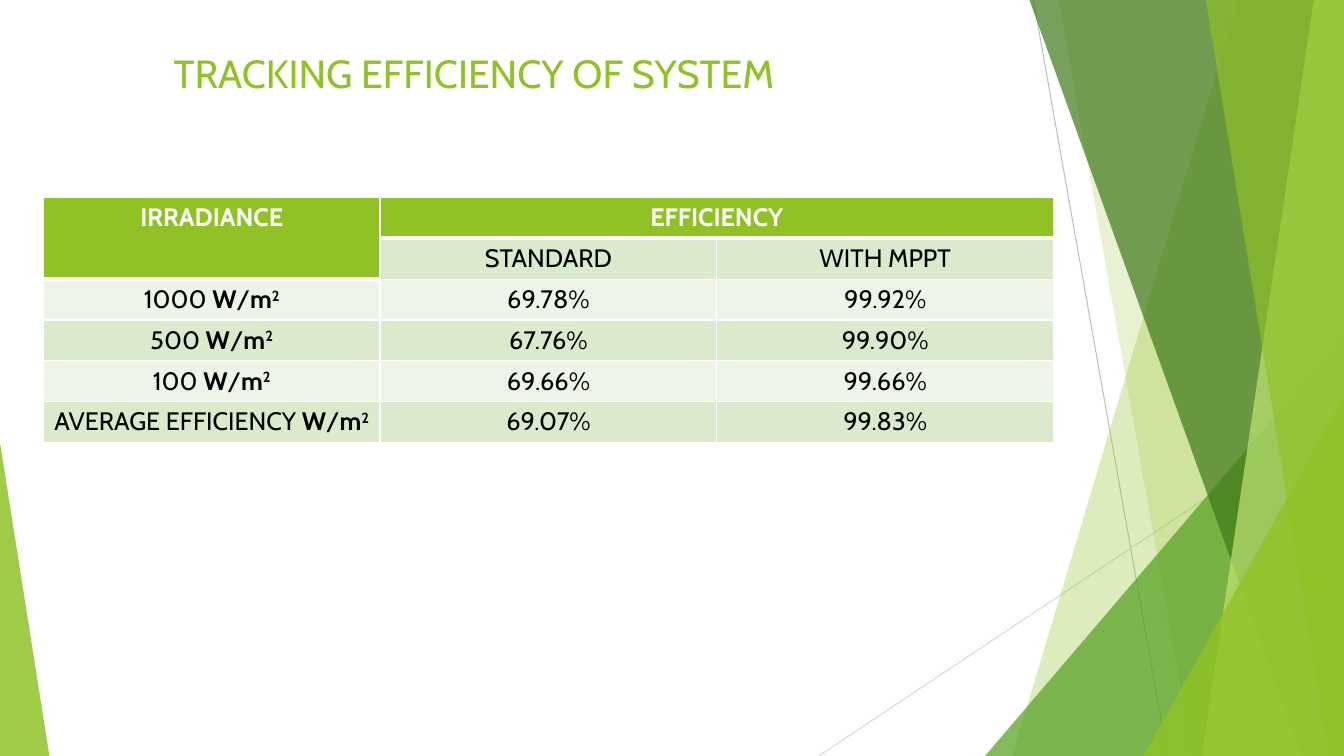
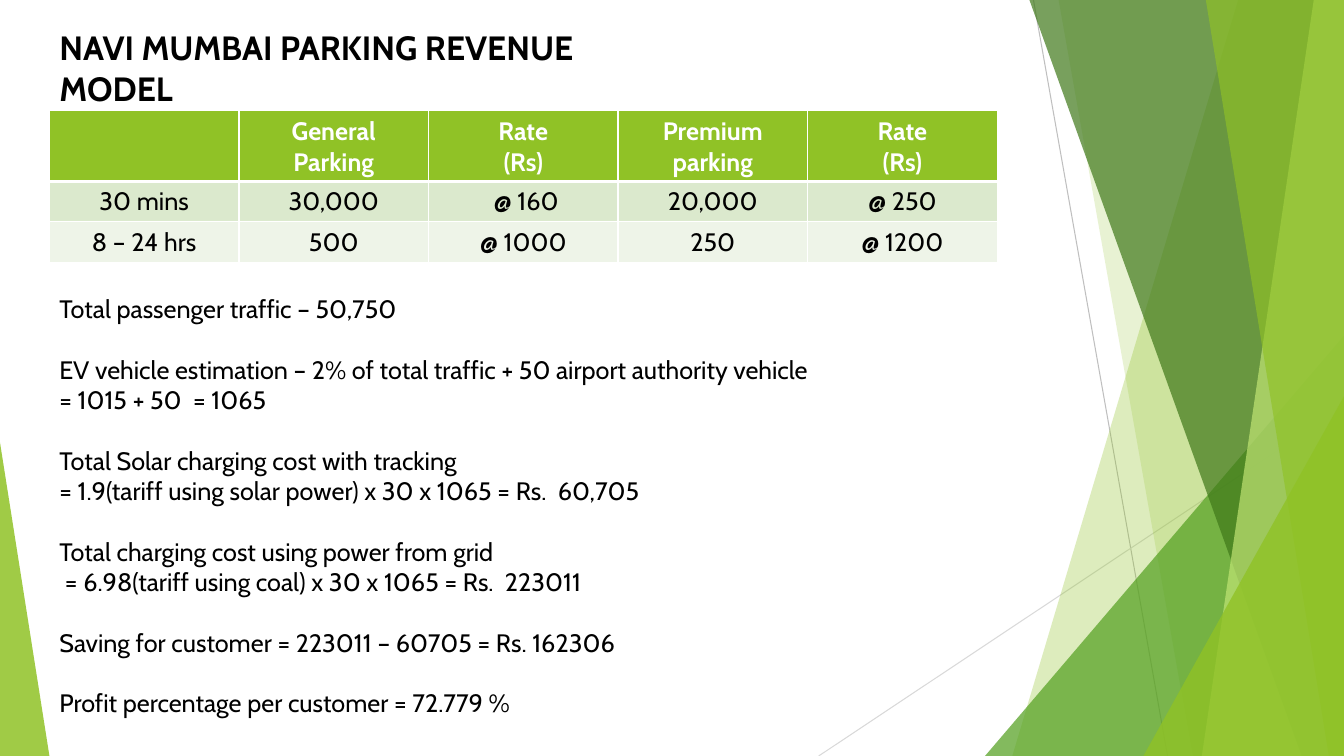
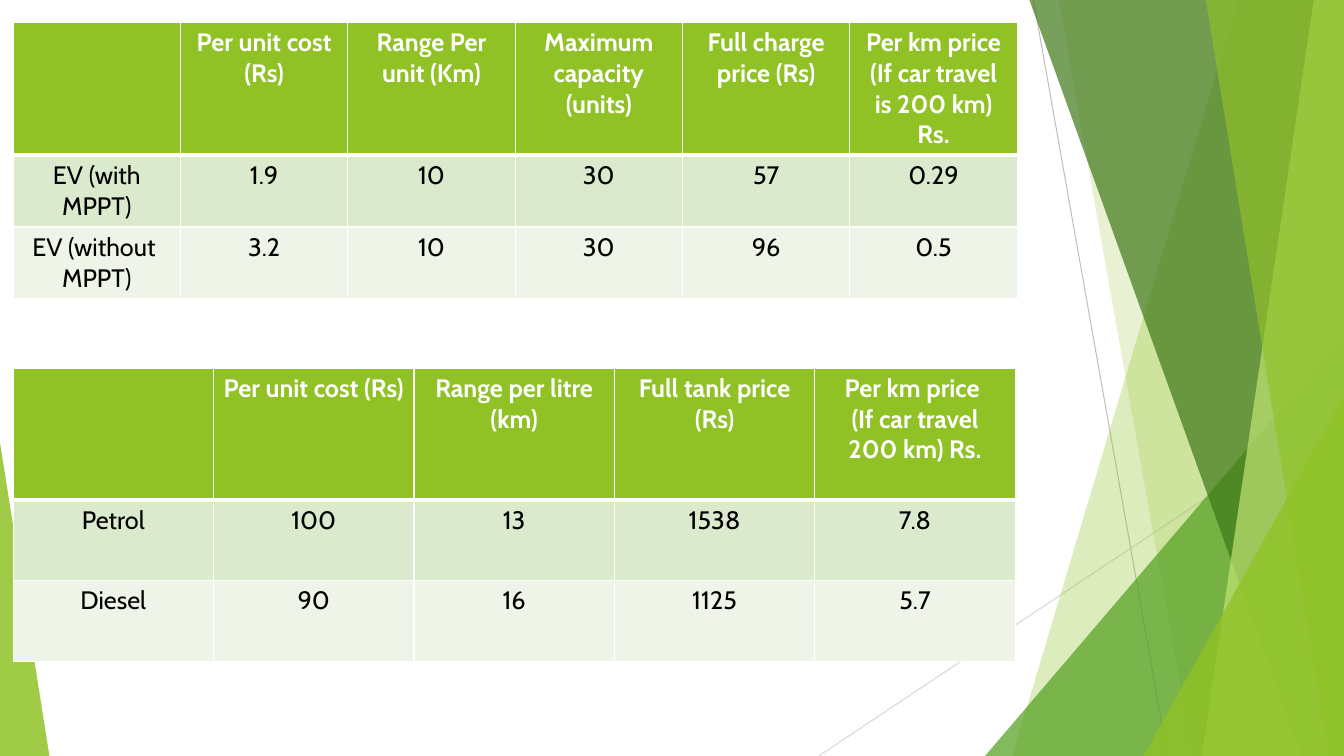
from dataclasses import dataclass

from lxml import etree
from pptx import Presentation
from pptx import util as u
from pptx.dml.color import RGBColor
from pptx.enum import shapes, text
from pptx.oxml.ns import qn

WIDTH, HEIGHT = 13.33, 7.5


@dataclass(frozen=True)
class Theme:
    font: str = "Cabin"
    green: str = "90C226"
    leaf: str = "54A021"
    forest: str = "3F7819"
    lime: str = "C0E474"
    band_dark: str = "DBE9CD"
    band_light: str = "EEF4E8"
    black: str = "000000"
    white: str = "FFFFFF"
    steep_line: str = "BFBFBF"
    flat_line: str = "D9D9D9"
    hairline: float = 0.75
    border: float = 1
    header_border: float = 3
    title: float = 28
    heading: float = 24
    body: float = 18
    group_gap: float = 21.8


THEME = Theme()


@dataclass(frozen=True)
class Piece:
    """A stretch of cell text with its own weight or raised position."""
    words: str
    bold: bool = False
    raised: bool = False


UNIT = [Piece("W", bold=True), Piece("/"), Piece("m", bold=True),
        Piece("2", bold=True, raised=True)]


def color(value):
    return RGBColor.from_string(value)


def set_border(cell, side, width):
    line = etree.SubElement(cell._tc.get_or_add_tcPr(), qn(f"a:ln{side}"),
                            w=str(u.Pt(width)))
    fill = etree.SubElement(line, qn("a:solidFill"))
    etree.SubElement(fill, qn("a:srgbClr"), val=THEME.white)


class Deck:
    def __init__(self):
        self.presentation = Presentation()
        self.presentation.slide_width = u.Inches(WIDTH)
        self.presentation.slide_height = u.Inches(HEIGHT)
        self.slide = None

    def new_slide(self):
        self.slide = self.presentation.slides.add_slide(
            self.presentation.slide_layouts[6])
        self.backdrop()

    def backdrop(self):
        self.line((10.25, 0), (11.58, HEIGHT), THEME.steep_line)
        self.line((WIDTH, 4.03), (8.12, HEIGHT), THEME.flat_line)
        self.panel(12.28, 10.04, THEME.green, 30)
        self.panel(10.5, 11.83, THEME.green, 20)
        self.triangle(9.77, 3.33, 3.56, THEME.leaf, 72)
        self.panel(10.21, 12.91, THEME.forest, 70)
        self.panel(13.03, 11.92, THEME.lime, 70)
        self.panel(11.96, 13.18, THEME.green, 65)
        self.triangle(11.34, 3.93, 1.99, THEME.green, 80)
        self.triangle(0, 4.39, 0.49, THEME.green, 85, apex=0)

    def line(self, start, end, line_color):
        connector = self.slide.shapes.add_connector(
            shapes.MSO_CONNECTOR.STRAIGHT, *map(u.Inches, start + end))
        connector.line.color.rgb = color(line_color)
        connector.line.width = u.Pt(THEME.hairline)
        etree.SubElement(connector._element.spPr, qn("a:effectLst"))

    def panel(self, top_x, bottom_x, fill, opacity):
        """Full-height panel from a slanted left edge to the slide's right edge."""
        corners = [(WIDTH, 0), (WIDTH, HEIGHT), (bottom_x, HEIGHT)]
        builder = self.slide.shapes.build_freeform(u.Inches(top_x), 0)
        builder.add_line_segments(
            [(u.Inches(x), u.Inches(y)) for x, y in corners], close=True)
        self.paint(builder.convert_to_shape(), fill, opacity)

    def triangle(self, left, top, width, fill, opacity, apex=1):
        """Triangle that stands on the slide's bottom edge."""
        shape = self.slide.shapes.add_shape(
            shapes.MSO_SHAPE.ISOSCELES_TRIANGLE,
            *map(u.Inches, (left, top, width, HEIGHT - top)))
        shape.adjustments[0] = apex
        self.paint(shape, fill, opacity)

    def paint(self, shape, fill, opacity):
        shape.shadow.inherit = False
        shape.line.fill.background()
        shape.fill.solid()
        shape.fill.fore_color.rgb = color(fill)
        tone = shape._element.spPr.find(qn("a:solidFill")).find(qn("a:srgbClr"))
        etree.SubElement(tone, qn("a:alpha"), val=str(opacity * 1000))

    def add_run(self, paragraph, piece, size, text_color):
        run = paragraph.add_run()
        run.text = piece.words
        run.font.name = THEME.font
        run.font.size = u.Pt(size)
        run.font.bold = piece.bold
        run.font.color.rgb = color(text_color)
        if piece.raised:
            run._r.get_or_add_rPr().set("baseline", "30000")

    def text(self, box, groups, size, text_color=THEME.black, bold=False,
             align=text.PP_ALIGN.LEFT):
        """Each group is one paragraph; newlines in it are line breaks."""
        frame = self.slide.shapes.add_textbox(*map(u.Inches, box)).text_frame
        frame.word_wrap = True
        for index, group in enumerate(groups):
            paragraph = frame.add_paragraph() if index else frame.paragraphs[0]
            paragraph.alignment = align
            if index:
                paragraph.space_before = u.Pt(THEME.group_gap)
            for number, words in enumerate(group.split("\n")):
                if number:
                    paragraph.add_line_break()
                self.add_run(paragraph, Piece(words, bold), size, text_color)

    def table(self, left, top, width, heights, rows, merges=()):
        """Merges are pairs of (row, column) corners; merged cells are headers."""
        columns = len(rows[0])
        table = self.slide.shapes.add_table(
            len(rows), columns,
            *map(u.Inches, (left, top, width, sum(heights)))).table
        for column in table.columns:
            column.width = u.Inches(width / columns)
        for row, height in zip(table.rows, heights):
            row.height = u.Inches(height)
        for first, last in merges:
            table.cell(*first).merge(table.cell(*last))

        def is_header(row, column):
            return row == 0 or table.cell(row, column).is_spanned

        for row, contents in enumerate(rows):
            for column, content in enumerate(contents):
                header = is_header(row, column)
                below_header = row > 0 and not header and is_header(row - 1, column)
                self.cell(table.cell(row, column), content, header, below_header,
                          THEME.band_dark if row % 2 else THEME.band_light)

    def cell(self, cell, content, header, below_header, band):
        set_border(cell, "L", THEME.border)
        set_border(cell, "R", THEME.border)
        set_border(cell, "T", THEME.header_border if below_header else THEME.border)
        set_border(cell, "B", THEME.header_border if header else THEME.border)
        cell.fill.solid()
        cell.fill.fore_color.rgb = color(THEME.green if header else band)
        if not content:
            return
        if isinstance(content, str):
            lines = [[Piece(words, bold=header)] for words in content.split("\n")]
        else:
            lines = [content]
        frame = cell.text_frame
        for index, pieces in enumerate(lines):
            paragraph = frame.add_paragraph() if index else frame.paragraphs[0]
            paragraph.alignment = text.PP_ALIGN.CENTER
            for piece in pieces:
                self.add_run(paragraph, piece, THEME.body,
                             THEME.white if header else THEME.black)


def tracking_efficiency(deck):
    deck.new_slide()
    deck.text((0, 0.44, 9.4, 1.44), ["TRACKING EFFICIENCY OF SYSTEM"],
              THEME.title, THEME.green, align=text.PP_ALIGN.CENTER)
    results = [("1000 ", "69.78%", "99.92%"),
               ("500 ", "67.76%", "99.90%"),
               ("100 ", "69.66%", "99.66%"),
               ("AVERAGE EFFICIENCY ", "69.07%", "99.83%")]
    rows = [("IRRADIANCE", "EFFICIENCY", ""), ("", "STANDARD", "WITH MPPT")]
    rows += [([Piece(label)] + UNIT, standard, tracked)
             for label, standard, tracked in results]
    deck.table(0.43, 1.96, 10.02, [0.405] * len(rows), rows,
               merges=[((0, 0), (1, 0)), ((0, 1), (0, 2))])


def parking_revenue(deck):
    deck.new_slide()
    deck.text((0.49, 2.86, 10.53, 4.64), [
        "Total passenger traffic – 50,750",
        "EV vehicle estimation – 2% of total traffic + 50 airport authority vehicle\n"
        "= 1015 + 50  = 1065",
        "Total Solar charging cost with tracking\n"
        "= 1.9(tariff using solar power) x 30 x 1065 = Rs.  60,705",
        "Total charging cost using power from grid\n"
        " = 6.98(tariff using coal) x 30 x 1065 = Rs.  223011",
        "Saving for customer = 223011 – 60705 = Rs. 162306",
        "Profit percentage per customer = 72.779 %",
    ], THEME.body)
    deck.table(0.49, 1.1, 9.4, [0.7, 0.4, 0.4], [
        ("", "General Parking", "Rate\n(Rs)", "Premium parking", "Rate\n(Rs)"),
        ("30 mins", "30,000", " @ 160", "20,000", "@ 250"),
        ("8 – 24 hrs", "500", "@ 1000", "250", "@ 1200"),
    ])
    deck.text((0.49, 0.22, 6.48, 0.9), ["NAVI MUMBAI PARKING REVENUE MODEL"],
              THEME.heading, bold=True)


def cost_comparison(deck):
    deck.new_slide()
    deck.table(0.13, 0.22, 9.96, [1.31, 0.7, 0.7], [
        ("", "Per unit cost (Rs)", "Range Per unit (Km)", "Maximum capacity (units)",
         "Full charge price (Rs)", "Per km price\n(If car travel is 200 km) Rs."),
        ("EV (with MPPT)", "1.9", "10", "30", "57", "0.29"),
        ("EV (without \nMPPT)", "3.2", "10", "30", "96", "0.5"),
    ])
    deck.table(0.13, 3.65, 9.94, [1.31, 0.8, 0.8], [
        ("", "Per unit cost (Rs)", "Range per litre (km)", "Full tank price\n(Rs)",
         "Per km price \n(If car travel 200 km) Rs."),
        ("Petrol", "100", "13", "1538", "7.8"),
        ("Diesel", "90", "16", "1125", "5.7"),
    ])


def main():
    deck = Deck()
    tracking_efficiency(deck)
    parking_revenue(deck)
    cost_comparison(deck)
    deck.presentation.save("out.pptx")


if __name__ == "__main__":
    main()
